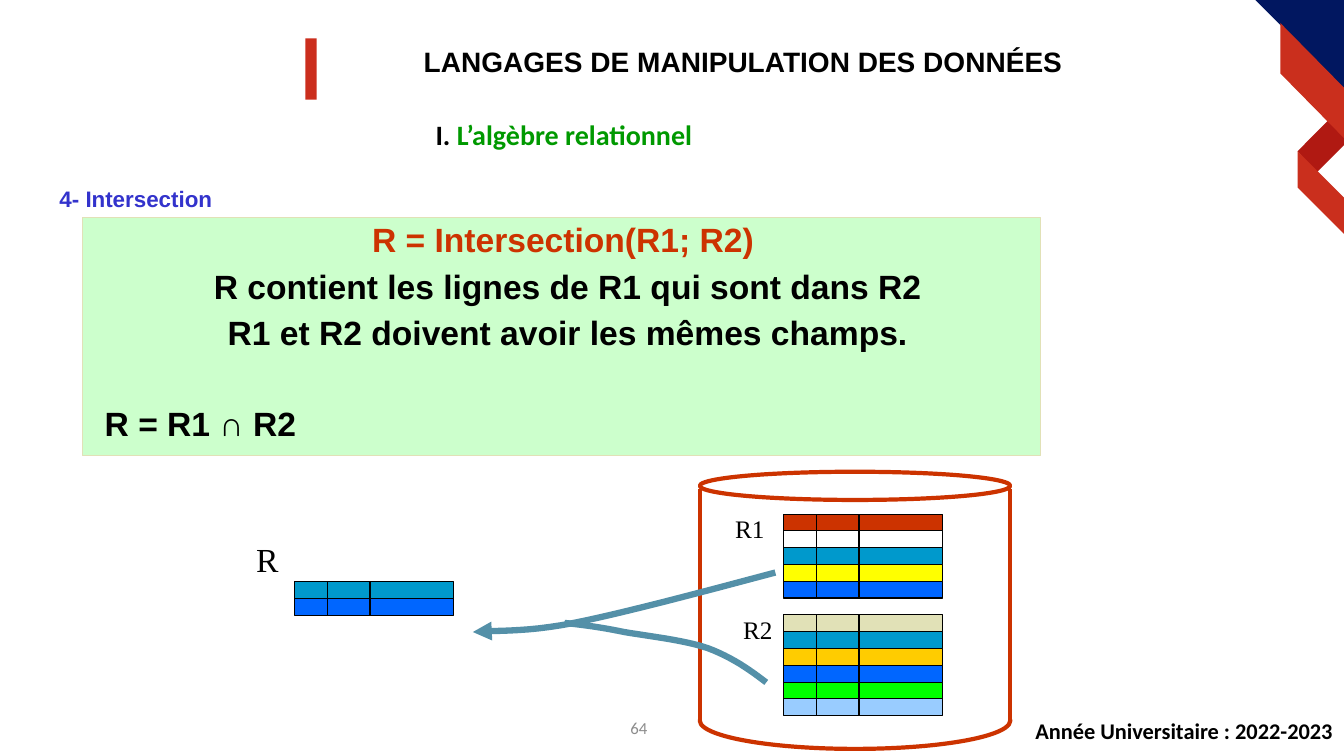
"""Builds the slide on the intersection operator of relational algebra."""
from dataclasses import dataclass

import pptx
import pptx.dml.color
import pptx.enum.shapes
import pptx.enum.text
import pptx.oxml
import pptx.oxml.ns
import pptx.util
from pptx.util import Inches

Point = tuple[float, float]
SHAPES = pptx.enum.shapes.MSO_SHAPE
ALIGN = pptx.enum.text.PP_ALIGN

COLOURS = {
    "black": "000000", "white": "FFFFFF", "navy": "011760", "ribbon": "CA2F1D",
    "fold": "B01912", "bar": "CB2E1D", "heading": "009900", "section": "3333CC",
    "panel": "CCFFCC", "sand": "E1E1B7", "rust": "CC3300", "teal": "0099CC",
    "yellow": "FFFF00", "blue": "0066FF", "orange": "FFCC00", "lime": "00FF00",
    "sky": "99CCFF", "arrow": "5490A8", "grey": "8C8C8C",
}


@dataclass
class Span:
    text: str
    size: float
    font: str = "Arial"
    colour: str = "black"
    bold: bool = True


@dataclass
class Label:
    left: float
    top: float
    width: float
    height: float
    spans: list[Span]
    align: ALIGN = ALIGN.LEFT


@dataclass
class Relation:
    left: float
    top: float
    rows: list[str]


@dataclass
class Statement:
    span: Span
    align: ALIGN
    space_before: float


@dataclass
class Ribbon:
    colour: str
    corners: list[Point]


RIBBONS = [
    Ribbon("fold", [(13.19, 1.18), (13.33, 1.35), (13.33, 1.44), (13.05, 1.72), (12.87, 1.5)]),
    Ribbon("navy", [(12.45, 0), (13.33, 0), (13.33, 0.88)]),
    Ribbon("ribbon", [(12.87, 1.5), (13.33, 1.96), (13.33, 2.32), (12.87, 1.86)]),
    Ribbon("ribbon", [(12.7, 0.23), (13.33, 0.87), (13.33, 1.37), (12.7, 0.73)]),
]
LABELS = [
    Label(3.42, 0.44, 7.9, 0.35,
          [Span("LANGAGES DE MANIPULATION DES DONNÉES", 20)], ALIGN.CENTER),
    Label(4.32, 1.17, 4, 0.35, [Span("I. ", 20, "Calibri"),
                                Span("L’algèbre relationnel", 20, "Calibri", "heading")]),
    Label(0.59, 1.84, 4, 0.26, [Span("4- Intersection", 16, colour="section")]),
    Label(9.22, 7.11, 4, 0.28,
          [Span("Année Universitaire : 2022-2023", 16, "Calibri")], ALIGN.RIGHT),
    Label(7.29, 5.09, 0.45, 0.3, [Span("R1", 18, "Times New Roman", bold=False)]),
    Label(7.37, 6.09, 0.38, 0.3, [Span("R2", 18, "Times New Roman", bold=False)]),
    Label(2.54, 5.35, 0.4, 0.4, [Span("R", 24, "Times New Roman", bold=False)]),
    Label(3.52, 7.12, 2.9, 0.22, [Span("64", 12, "Calibri", "grey", False)], ALIGN.RIGHT),
]
STATEMENTS = [
    Statement(Span("R = Intersection(R1; R2) ", 24, colour="rust"), ALIGN.CENTER, 0),
    Statement(Span("R contient les lignes de R1 qui sont dans R2", 24), ALIGN.CENTER, 7.2),
    Statement(Span("R1 et R2 doivent avoir les mêmes champs.", 24), ALIGN.CENTER, 7.2),
    Statement(Span("R = R1 ∩ R2", 24), ALIGN.LEFT, 39),
]
RELATIONS = [
    Relation(7.77, 5.1, ["rust", "white", "teal", "yellow", "blue"]),
    Relation(7.77, 6.1, ["sand", "teal", "orange", "blue", "lime", "sky"]),
    Relation(2.92, 5.77, ["teal", "blue"]),
]
ROW_WIDTH, ROW_HEIGHT = 1.58, 1 / 6
COLUMN_OFFSETS = (0.33, 0.75)
FROM_R1 = [(7.69, 5.68), (6.94, 5.88), (6.19, 6.08), (5.69, 6.18),
           (5.19, 6.28), (4.85, 6.25), (4.69, 6.27)]
FROM_R2 = [(7.6, 6.77), (7.43, 6.64), (7.26, 6.52), (7.02, 6.43), (6.79, 6.35),
           (6.42, 6.31), (6.19, 6.27), (5.95, 6.22), (5.78, 6.2), (5.6, 6.18)]


def rgb(name: str) -> pptx.dml.color.RGBColor:
    return pptx.dml.color.RGBColor.from_string(COLOURS[name])


def paint(shape, fill: str | None, line: str | None = None, weight: float = 0.75) -> None:
    shape.shadow.inherit = False
    if fill:
        shape.fill.solid()
        shape.fill.fore_color.rgb = rgb(fill)
    else:
        shape.fill.background()
    if line:
        shape.line.color.rgb = rgb(line)
        shape.line.width = pptx.util.Pt(weight)
    else:
        shape.line.fill.background()


def add_block(page, kind: SHAPES, left: float, top: float, width: float, height: float,
              fill: str, line: str | None = None, weight: float = 0.75):
    block = page.shapes.add_shape(kind, Inches(left), Inches(top), Inches(width), Inches(height))
    paint(block, fill, line, weight)
    return block


def add_outline(page, points: list[Point], closed: bool):
    corners = [(Inches(x), Inches(y)) for x, y in points]
    builder = page.shapes.build_freeform(*corners[0])
    builder.add_line_segments(corners[1:], close=closed)
    return builder.convert_to_shape()


def add_rule(page, start: Point, end: Point, colour: str, weight: float) -> None:
    rule = page.shapes.add_connector(pptx.enum.shapes.MSO_CONNECTOR.STRAIGHT,
                                     *(Inches(value) for value in start + end))
    rule.line.color.rgb = rgb(colour)
    rule.line.width = pptx.util.Pt(weight)
    rule._element.spPr.append(pptx.oxml.parse_xml(
        f"<a:effectLst {pptx.oxml.ns.nsdecls('a')}/>"))


def add_span(para, span: Span) -> None:
    run = para.add_run()
    run.text = span.text
    run.font.size = pptx.util.Pt(span.size)
    run.font.name = span.font
    run.font.bold = span.bold
    run.font.color.rgb = rgb(span.colour)


def add_label(page, label: Label) -> None:
    box = page.shapes.add_textbox(Inches(label.left), Inches(label.top),
                                  Inches(label.width), Inches(label.height))
    frame = box.text_frame
    frame.word_wrap = True
    frame.margin_left = frame.margin_right = frame.margin_top = frame.margin_bottom = 0
    para = frame.paragraphs[0]
    para.alignment = label.align
    for span in label.spans:
        add_span(para, span)


def add_panel(page) -> None:
    panel = add_block(page, SHAPES.RECTANGLE, 0.82, 2.16, 9.5, 2.36, "panel", "sand")
    frame = panel.text_frame
    frame.word_wrap = True
    frame.vertical_anchor = pptx.enum.text.MSO_ANCHOR.TOP
    frame.margin_top = Inches(0.06)
    for index, statement in enumerate(STATEMENTS):
        para = frame.add_paragraph() if index else frame.paragraphs[0]
        para.alignment = statement.align
        para.line_spacing = 0.9
        para.space_before = pptx.util.Pt(statement.space_before)
        para._p.get_or_add_pPr().set("indent", str(Inches(0.12)))
        add_span(para, statement.span)


def add_database(page) -> None:
    left, width = 6.94, 3.08
    add_block(page, SHAPES.OVAL, left, 6.87, width, 0.56, "white", "rust", 3)
    add_block(page, SHAPES.RECTANGLE, left, 6.76, width, 0.39, "white")
    add_block(page, SHAPES.OVAL, left, 4.68, width, 0.28, "white", "rust", 3)
    for side in (left, left + width):
        add_rule(page, (side, 4.85), (side, 7.15), "rust", 3)


def add_relation(page, relation: Relation) -> None:
    for index, colour in enumerate(relation.rows):
        top = relation.top + index * ROW_HEIGHT
        add_block(page, SHAPES.RECTANGLE, relation.left, top, ROW_WIDTH, ROW_HEIGHT,
                  colour, "black")
        for offset in COLUMN_OFFSETS:
            x = relation.left + offset
            add_rule(page, (x, top), (x, top + ROW_HEIGHT), "black", 0.75)


def trace_curve(controls: list[Point], steps: int = 12) -> list[Point]:
    points = [controls[0]]
    for first in range(0, len(controls) - 1, 3):
        for step in range(1, steps + 1):
            t = step / steps
            weights = ((1 - t) ** 3, 3 * t * (1 - t) ** 2, 3 * t * t * (1 - t), t ** 3)
            pairs = list(zip(weights, controls[first:first + 4]))
            points.append((sum(w * p[0] for w, p in pairs), sum(w * p[1] for w, p in pairs)))
    return points


def add_flow(page, controls: list[Point], arrowhead: bool) -> None:
    flow = add_outline(page, trace_curve(controls), False)
    paint(flow, None, "arrow", 4.5)
    if arrowhead:
        flow.line._get_or_add_ln().append(pptx.oxml.parse_xml(
            f"<a:tailEnd {pptx.oxml.ns.nsdecls('a')} type='triangle'/>"))


def main() -> None:
    deck = pptx.Presentation()
    deck.slide_width, deck.slide_height = Inches(13.33), Inches(7.5)
    page = deck.slides.add_slide(deck.slide_layouts[6])
    for ribbon in RIBBONS:
        paint(add_outline(page, ribbon.corners, True), ribbon.colour)
    add_block(page, SHAPES.RECTANGLE, 3.03, 0.38, 0.11, 0.61, "bar")
    add_panel(page)
    add_database(page)
    for relation in RELATIONS:
        add_relation(page, relation)
    add_flow(page, FROM_R1, True)
    add_flow(page, FROM_R2, False)
    for label in LABELS:
        add_label(page, label)
    deck.save("out.pptx")


if __name__ == "__main__":
    main()
